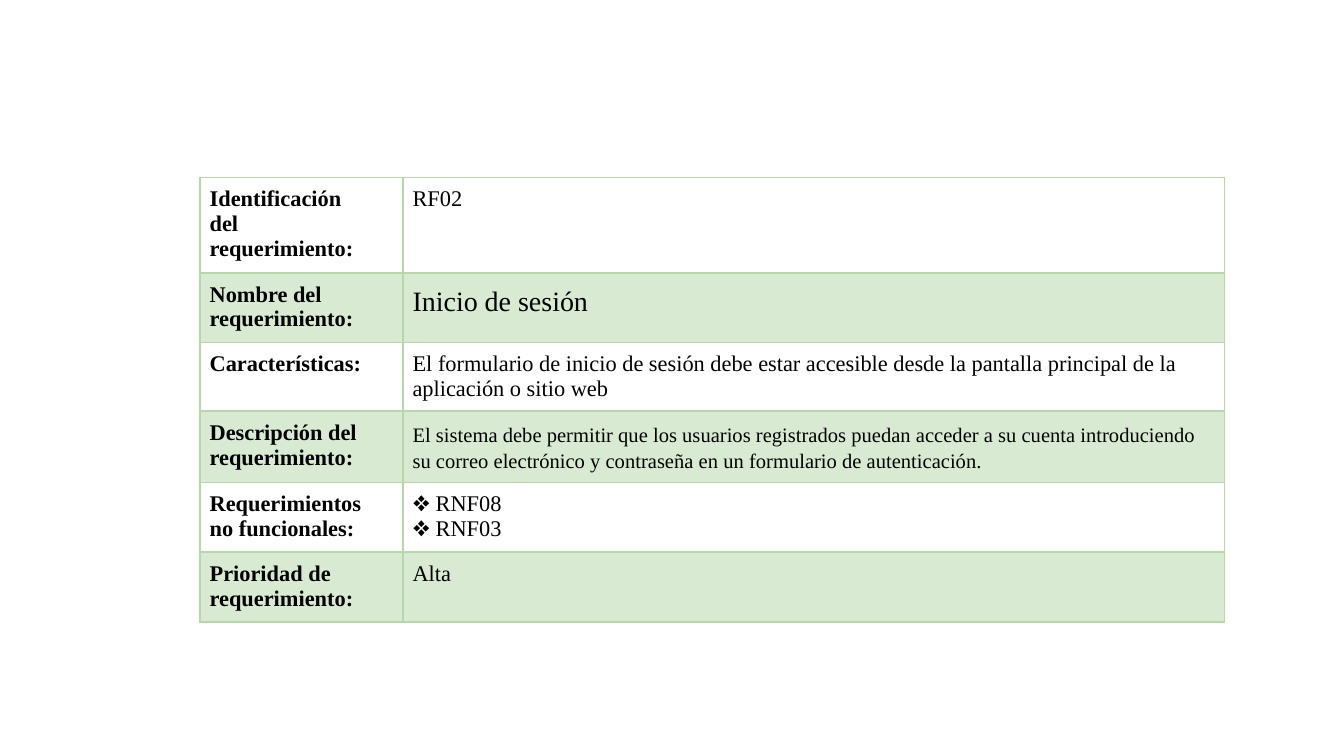
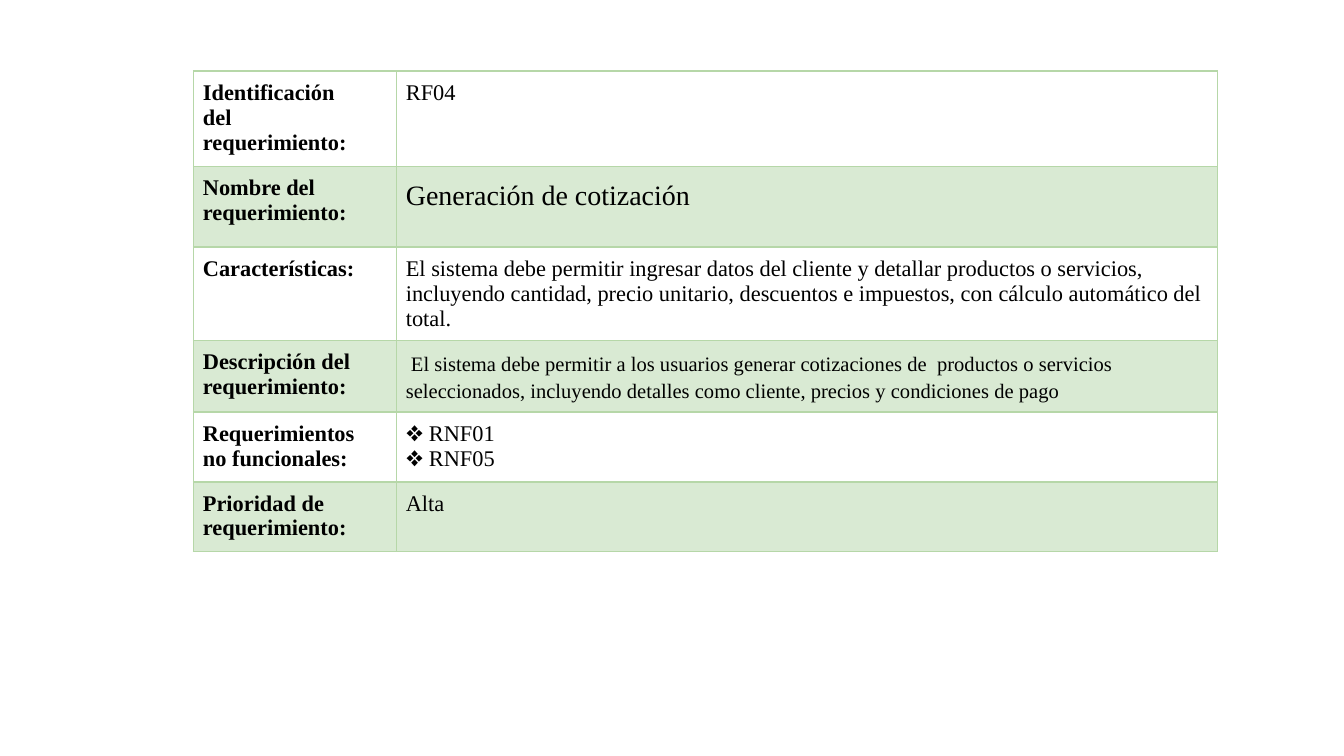
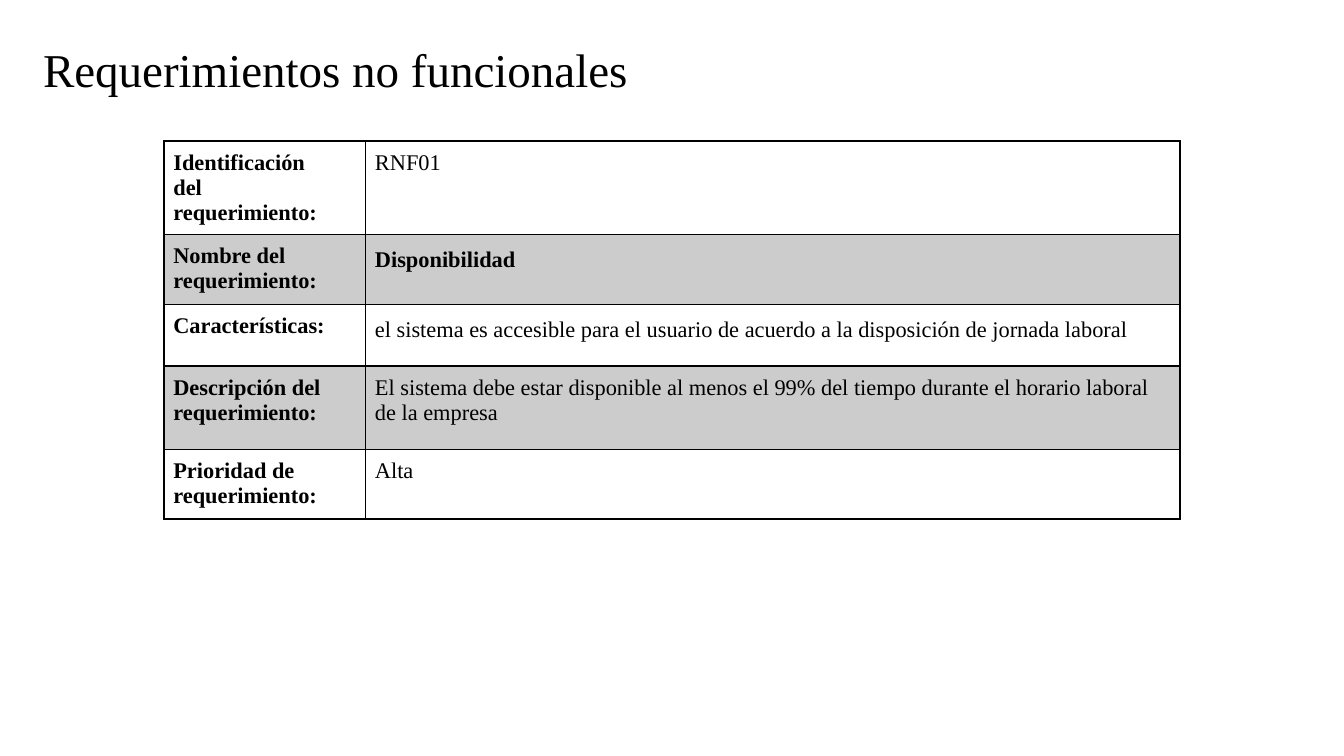
from lxml.etree import SubElement
from pptx import Presentation
from pptx.dml.color import RGBColor
from pptx.enum.text import MSO_ANCHOR, PP_ALIGN
from pptx.oxml.ns import qn
from pptx.util import Inches, Pt

BLACK = RGBColor(0x00, 0x00, 0x00)
GREEN_LINE = RGBColor(0xB6, 0xD7, 0xA8)
GREEN_BAND = RGBColor(0xD9, 0xEA, 0xD3)
GRAY_BAND = RGBColor(0xCC, 0xCC, 0xCC)
FONT = "Times New Roman"
CELL_INSET = 0.07
TITLE_INSET = 0.1

LABELS = {
    "id": "Identificación\ndel\nrequerimiento:",
    "name": "Nombre del\nrequerimiento:",
    "features": "Características:",
    "description": "Descripción del\nrequerimiento:",
    "non_functional": "Requerimientos\nno funcionales:",
    "priority": "Prioridad de\nrequerimiento:",
}

NAME_STYLE = {"size": 15, "line_spacing": 1.15}
DESCRIPTION_STYLE = {"size": 11, "line_spacing": 1.15}

REQUIREMENTS = [
    {
        "position": (1.49, 1.32), "columns": (1.51, 6.11),
        "line": GREEN_LINE, "band": GREEN_BAND,
        "rows": [
            ("id", 0.71, "RF02", {}),
            ("name", 0.52, "Inicio de sesión", NAME_STYLE),
            ("features", 0.51, "El formulario de inicio de sesión debe estar accesible desde "
             "la pantalla principal de la aplicación o sitio web", {}),
            ("description", 0.53, "El sistema debe permitir que los usuarios registrados puedan "
             "acceder a su cuenta introduciendo su correo electrónico y contraseña en un "
             "formulario de autenticación.", DESCRIPTION_STYLE),
            ("non_functional", 0.52, "❖ RNF08\n❖ RNF03", {}),
            ("priority", 0.52, "Alta", {}),
        ],
    },
    {
        "position": (1.44, 0.53), "columns": (1.51, 6.11),
        "line": GREEN_LINE, "band": GREEN_BAND,
        "rows": [
            ("id", 0.71, "RF04", {}),
            ("name", 0.6, "Generación de cotización", NAME_STYLE),
            ("features", 0.69, "El sistema debe permitir ingresar datos del cliente y detallar "
             "productos o servicios, incluyendo cantidad, precio unitario, descuentos e "
             "impuestos, con cálculo automático del total.", {}),
            ("description", 0.53, " El sistema debe permitir a los usuarios generar cotizaciones "
             "de  productos o servicios seleccionados, incluyendo detalles como cliente, "
             "precios y condiciones de pago", DESCRIPTION_STYLE),
            ("non_functional", 0.52, "❖ RNF01\n❖ RNF05", {}),
            ("priority", 0.52, "Alta", {}),
        ],
    },
    {
        "title": "Requerimientos no funcionales",
        "position": (1.22, 1.05), "columns": (1.5, 6.06),
        "line": BLACK, "band": GRAY_BAND,
        "rows": [
            ("id", 0.69, "RNF01", {}),
            ("name", 0.52, "Disponibilidad", {"bold": True, "line_spacing": 1.15}),
            ("features", 0.46, "el sistema es accesible para el usuario de acuerdo a la "
             "disposición de jornada laboral", {"line_spacing": 1.15}),
            ("description", 0.62, "El sistema debe estar disponible al menos el 99% del tiempo "
             "durante el horario laboral de la empresa", {}),
            ("priority", 0.52, "Alta", {}),
        ],
    },
]


def write_text(text_frame, text, size=12, bold=False, line_spacing=1.0):
    text_frame.text = text
    for paragraph in text_frame.paragraphs:
        paragraph.alignment = PP_ALIGN.LEFT
        paragraph.line_spacing = line_spacing
        for run in paragraph.runs:
            run.font.name = FONT
            run.font.size = Pt(size)
            run.font.bold = bold
            run.font.color.rgb = BLACK


def format_cell(cell, line_color, band_color):
    cell.margin_left = cell.margin_right = Inches(CELL_INSET)
    cell.margin_top = cell.margin_bottom = Inches(CELL_INSET)
    cell.vertical_anchor = MSO_ANCHOR.TOP
    properties = cell._tc.get_or_add_tcPr()
    for side in ("a:lnL", "a:lnR", "a:lnT", "a:lnB"):
        border = SubElement(properties, qn(side), w=str(Pt(1)))
        fill = SubElement(border, qn("a:solidFill"))
        SubElement(fill, qn("a:srgbClr"), val=str(line_color))
    if band_color is None:
        cell.fill.background()
    else:
        cell.fill.solid()
        cell.fill.fore_color.rgb = band_color


presentation = Presentation()
presentation.slide_width = Inches(10)
presentation.slide_height = Inches(10) * 9 // 16
title_only_layout = presentation.slide_layouts[5]
blank_layout = presentation.slide_layouts[6]

for requirement in REQUIREMENTS:
    has_title = "title" in requirement
    slide = presentation.slides.add_slide(title_only_layout if has_title else blank_layout)
    if has_title:
        title = slide.shapes.title
        title.left, title.top = Inches(0.22), Inches(0.2)
        title.width, title.height = Inches(9.32), Inches(0.63)
        frame = title.text_frame
        frame.margin_left = frame.margin_right = Inches(TITLE_INSET)
        frame.margin_top = frame.margin_bottom = Inches(TITLE_INSET)
        frame.vertical_anchor = MSO_ANCHOR.MIDDLE
        write_text(frame, requirement["title"], size=25.2)

    rows = requirement["rows"]
    left, top = requirement["position"]
    width = sum(requirement["columns"])
    height = sum(row[1] for row in rows)
    table = slide.shapes.add_table(
        len(rows), 2, Inches(left), Inches(top), Inches(width), Inches(height)
    ).table
    table.first_row = False
    table.horz_banding = False
    for column, column_width in zip(table.columns, requirement["columns"]):
        column.width = Inches(column_width)

    for index, (label, row_height, value, style) in enumerate(rows):
        table.rows[index].height = Inches(row_height)
        band_color = requirement["band"] if index % 2 else None
        label_cell, value_cell = table.rows[index].cells
        write_text(label_cell.text_frame, LABELS[label], bold=True)
        write_text(value_cell.text_frame, value, **style)
        for cell in (label_cell, value_cell):
            format_cell(cell, requirement["line"], band_color)

presentation.save("out.pptx")
